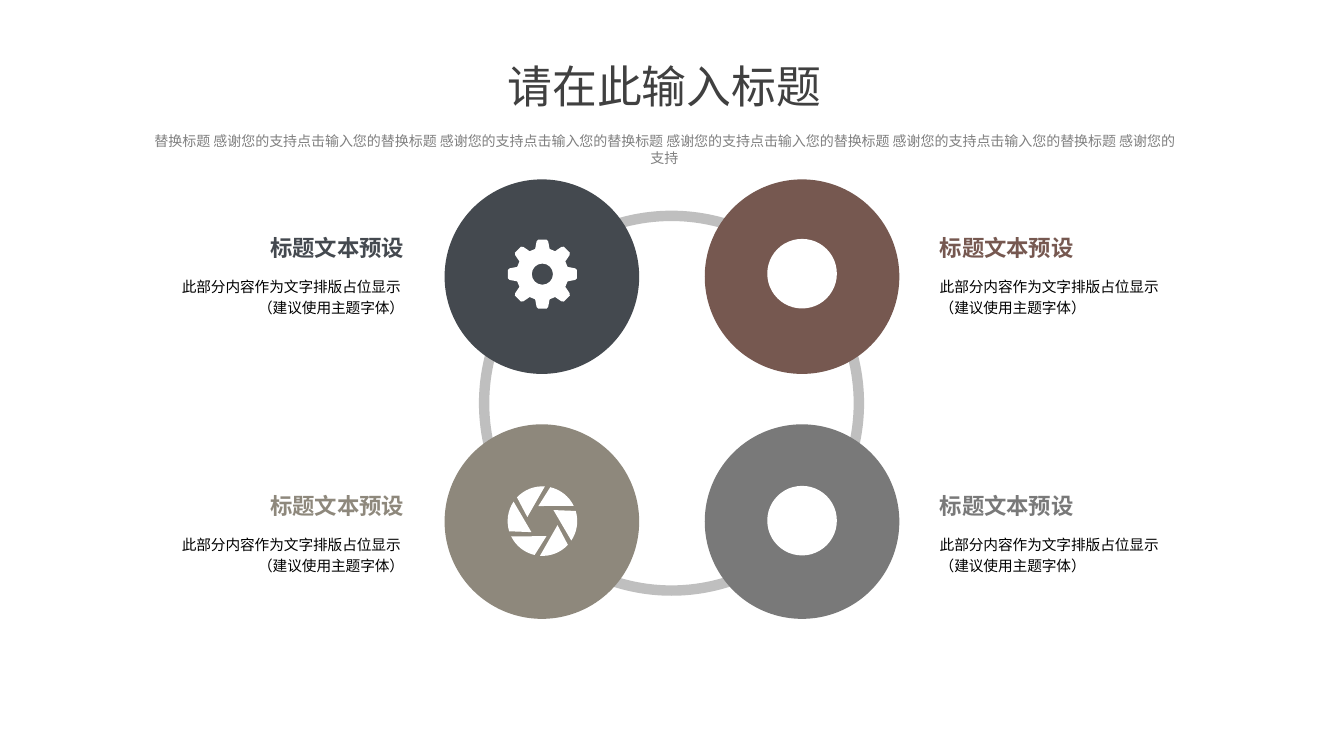
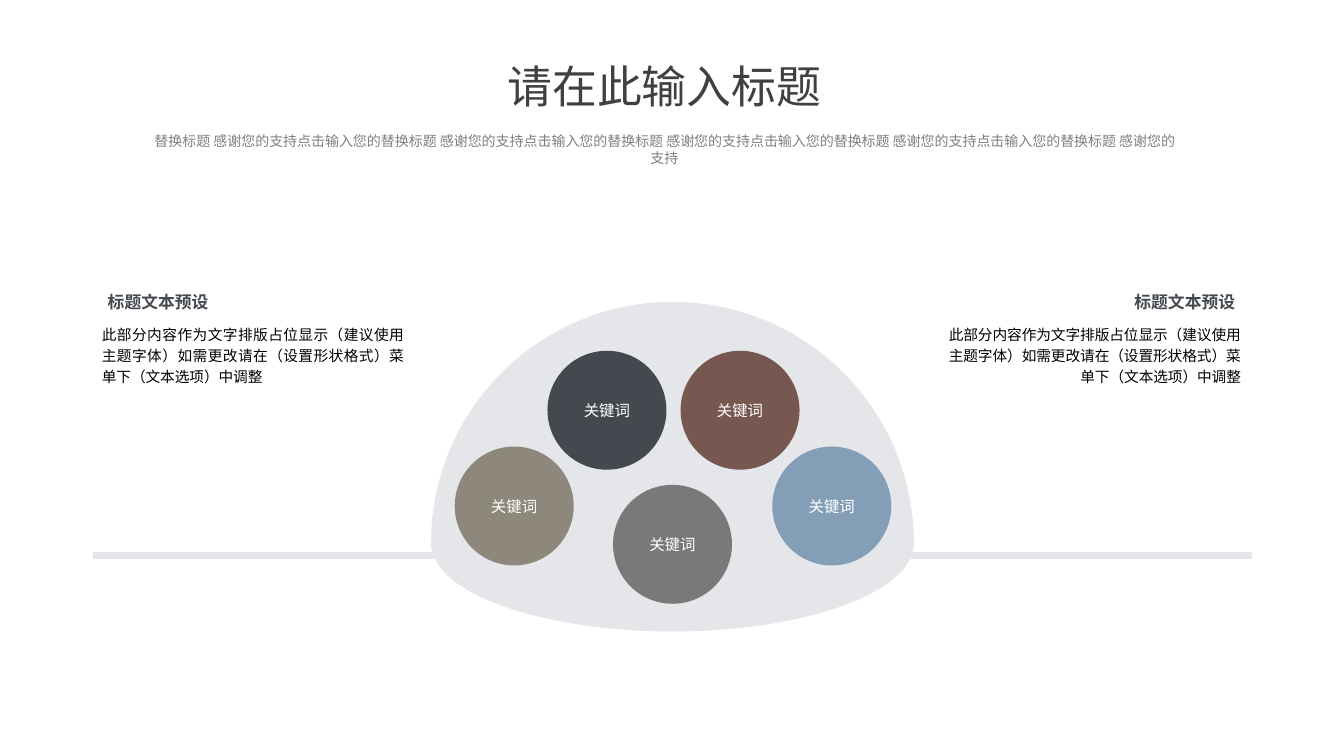
import math

import pptx
import pptx.dml.color
import pptx.enum.shapes
import pptx.enum.text
import pptx.oxml.ns
import pptx.util
from lxml import etree

PX = 9144  # EMU per px, 100 px to the inch
FONT = "Noto Sans CJK SC"
COLORS = {
    "slate": "44494F", "brown": "765850", "taupe": "8E887C", "gray": "797979",
    "blue": "849EB7", "ring": "BFBFBF", "pale": "E4E6EA", "edge": "EAE7E6",
    "title": "404040", "subtitle": "808080", "black": "000000", "white": "FFFFFF",
}
ALIGN = pptx.enum.text.PP_ALIGN
ANCHOR = pptx.enum.text.MSO_ANCHOR
SHAPE = pptx.enum.shapes.MSO_SHAPE
qn = pptx.oxml.ns.qn

TITLE = "请在此输入标题"
SUBTITLE = ("替换标题 " + "感谢您的支持点击输入您的替换标题 " * 4 + "感谢您的", "支持")
HEADING = "标题文本预设"
KEYWORD = "关键词"
SHORT_BODY = "此部分内容作为文字排版占位显示 \n（建议使用主题字体）"
LONG_BODY = ("此部分内容作为文字排版占位显示（建议使用主题字体）"
             "如需更改请在（设置形状格式）菜单下（文本选项）中调整")


def rgb(name):
    return pptx.dml.color.RGBColor.from_string(COLORS[name])


def write_text(tf, *paragraphs, size, color="black", bold=False, align=ALIGN.LEFT,
               anchor=ANCHOR.TOP, spacing=None, insets=(10, 5, 10, 5), wrap=True):
    """Fill a text frame; a newline inside a paragraph is a line break."""
    tf.word_wrap = wrap
    tf.vertical_anchor = anchor
    tf.margin_left, tf.margin_top, tf.margin_right, tf.margin_bottom = (
        v * PX for v in insets)
    for i, text in enumerate(paragraphs):
        p = tf.add_paragraph() if i else tf.paragraphs[0]
        p.alignment = align
        p.line_spacing = spacing
        for j, line in enumerate(text.split("\n")):
            if j:
                p.add_line_break()
            r = p.add_run()
            r.text = line
            r.font.size = pptx.util.Pt(size)
            r.font.bold = bold
            r.font.color.rgb = rgb(color)
            r.font.name = FONT
            ea = etree.SubElement(r._r.get_or_add_rPr(), qn("a:ea"))
            ea.set("typeface", FONT)


def polar(cx, cy, radius, degrees, ry=None):
    a = math.radians(degrees)
    return cx + radius * math.cos(a), cy + (ry or radius) * math.sin(a)


def curve(cx, cy, rx, start, end, ry=None):
    """Cubic curve along an elliptic arc: two control points and the end."""
    ry = ry or rx
    k = 4 / 3 * math.tan(math.radians(end - start) / 4)
    x1, y1 = polar(0, 0, 1, start)
    x2, y2 = polar(0, 0, 1, end)
    unit = ((x1 - k * y1, y1 + k * x1), (x2 + k * y2, y2 - k * x2), (x2, y2))
    return tuple((cx + rx * x, cy + ry * y) for x, y in unit)


class Deck:
    """Holds the presentation style and the current slide."""

    def __init__(self):
        self.prs = pptx.Presentation()
        self.prs.slide_width = 1333 * PX
        self.prs.slide_height = 750 * PX
        self.s = None

    def new_slide(self):
        self.s = self.prs.slides.add_slide(self.prs.slide_layouts[6])

    def header(self):
        self.text(87, 127, 1144, 44, *SUBTITLE, size=10, color="subtitle",
                  align=ALIGN.CENTER)
        self.text(488, 43, 342, 63, TITLE, size=32, color="title",
                  align=ALIGN.CENTER, spacing=1.2)

    def text(self, x, y, w, h, *paragraphs, **fmt):
        sp = self.s.shapes.add_textbox(x * PX, y * PX, w * PX, h * PX)
        write_text(sp.text_frame, *paragraphs, **fmt)

    def paint(self, sp, fill, line=None):
        sp.shadow.inherit = False
        sp.fill.solid()
        sp.fill.fore_color.rgb = rgb(fill)
        if line:
            sp.line.color.rgb = rgb(line)
            sp.line.width = pptx.util.Pt(0.75)
        else:
            sp.line.fill.background()
        return sp

    def shape(self, kind, x, y, w, h, fill):
        return self.paint(
            self.s.shapes.add_shape(kind, x * PX, y * PX, w * PX, h * PX), fill)

    def circle(self, x, y, d, fill):
        return self.shape(SHAPE.OVAL, x, y, d, d, fill)

    def freeform(self, contours, fill, line=None):
        """Each contour is a start point, then points or curve() triples."""
        fb, steps = None, []
        for start, *rest in contours:
            x, y = (round(v * PX) for v in start)
            if fb is None:
                fb = self.s.shapes.build_freeform(x, y, scale=1.0)
            else:
                fb.move_to(x, y)
            rest = [step if len(step) == 3 else (step,) for step in rest]
            steps += rest
            fb.add_line_segments([(round(px * PX), round(py * PX))
                                  for step in rest for px, py in step], close=True)
        sp = fb.convert_to_shape()
        # Merge the three points of each curve into one cubic segment
        segments = iter(list(sp._element.iter(qn("a:lnTo"))))
        for step in steps:
            group = [next(segments) for _ in step]
            if len(group) == 3:
                cubic = etree.Element(qn("a:cubicBezTo"))
                group[0].addprevious(cubic)
                for segment in group:
                    cubic.append(segment[0])
                    segment.getparent().remove(segment)
        return self.paint(sp, fill, line)

    def line(self, x1, y1, x2, y2, color, width):
        c = self.s.shapes.add_connector(
            pptx.enum.shapes.MSO_CONNECTOR.STRAIGHT, x1 * PX, y1 * PX, x2 * PX, y2 * PX)
        c.line.color.rgb = rgb(color)
        c.line.width = pptx.util.Pt(width)
        etree.SubElement(c._element.spPr, qn("a:effectLst"))

    def gear(self, cx, cy):
        tooth = ((26, -16), (33, -10), (34.5, -7), (34.5, 7), (33, 10), (26, 16))
        rim = [polar(cx, cy, radius, turn + a)
               for turn in range(0, 360, 45) for radius, a in tooth]
        hole = [polar(cx, cy, 10.5, 0)]
        hole += [curve(cx, cy, 10.5, -a, -a - 90) for a in range(0, 360, 90)]
        self.freeform([rim, hole], "white")

    def aperture(self, cx, cy):
        r = 34.5
        self.freeform([(polar(cx, cy, 15.5, turn - 105), polar(cx, cy, r, turn - 77),
                        curve(cx, cy, r, turn - 77, turn - 26))
                       for turn in range(0, 360, 60)], "white")


def ring_slide(deck):
    deck.new_slide()

    # Ring and four discs
    ring = deck.shape(SHAPE.DONUT, 475, 209, 382, 382, "ring")
    ring.adjustments[0] = 0.027
    discs = ((441, 178, "slate"), (699, 178, "brown"),
             (441, 421, "taupe"), (699, 421, "gray"))
    for x, y, color in discs:
        deck.circle(x, y, 193, color)

    # Icons
    for y in (237, 482):
        deck.circle(761, y, 69, "white")
    deck.gear(538, 272)
    deck.aperture(538, 517)

    # Captions beside the discs
    for i, (_, _, color) in enumerate(discs):
        y = 217 + 256 * (i // 2)
        if i % 2:
            x, w, align, insets = 893, 309, ALIGN.LEFT, (39, 0, 0, 0)
        else:
            x, w, align, insets = 119, 321, ALIGN.RIGHT, (0, 0, 39, 0)
        deck.text(x, y, w, 42, HEADING, size=16, color=color, bold=True, wrap=False,
                  align=align, anchor=ANCHOR.BOTTOM, insets=insets)
        deck.text(x, y + 42, w, 68, SHORT_BODY, size=10.5, align=align,
                  anchor=ANCHOR.MIDDLE, spacing=1.2, insets=insets)

    deck.header()


def dome_slide(deck):
    deck.new_slide()

    # Base line and dome: a half circle over a flat half ellipse
    deck.line(92, 551, 1242, 551, "pale", 4.5)
    cx, cy, r = 667, 539, 239
    dome = [(cx + r, cy)]
    dome += [curve(cx, cy, r, a, a + 90, ry=87 if a < 180 else r)
             for a in range(0, 360, 90)]
    deck.freeform([dome], "pale", line="edge")

    # Keyword discs
    d = 118
    for cx, cy, color in ((510, 502, "taupe"), (667, 540, "gray"), (825, 502, "blue"),
                          (734, 407, "brown"), (602, 407, "slate")):
        sp = deck.circle(cx - d // 2, cy - d // 2, d, color)
        write_text(sp.text_frame, KEYWORD, size=11, color="white", wrap=False,
                   align=ALIGN.CENTER, anchor=ANCHOR.MIDDLE, insets=(3, 5, 3, 5))

    # Side notes
    for body_x, head_x, body_align, head_align in (
            (97, 97, ALIGN.JUSTIFY, ALIGN.LEFT),
            (927, 1114, ALIGN.RIGHT, ALIGN.RIGHT)):
        deck.text(body_x, 316, 308, 187, LONG_BODY, size=10.5, align=body_align,
                  spacing=1.2, insets=(4, 4, 4, 4))
        deck.text(head_x, 285, 121, 30, HEADING, size=12, color="slate", bold=True,
                  align=head_align, wrap=False)

    deck.header()


def main():
    deck = Deck()
    ring_slide(deck)
    dome_slide(deck)
    deck.prs.save("out.pptx")


if __name__ == "__main__":
    main()
